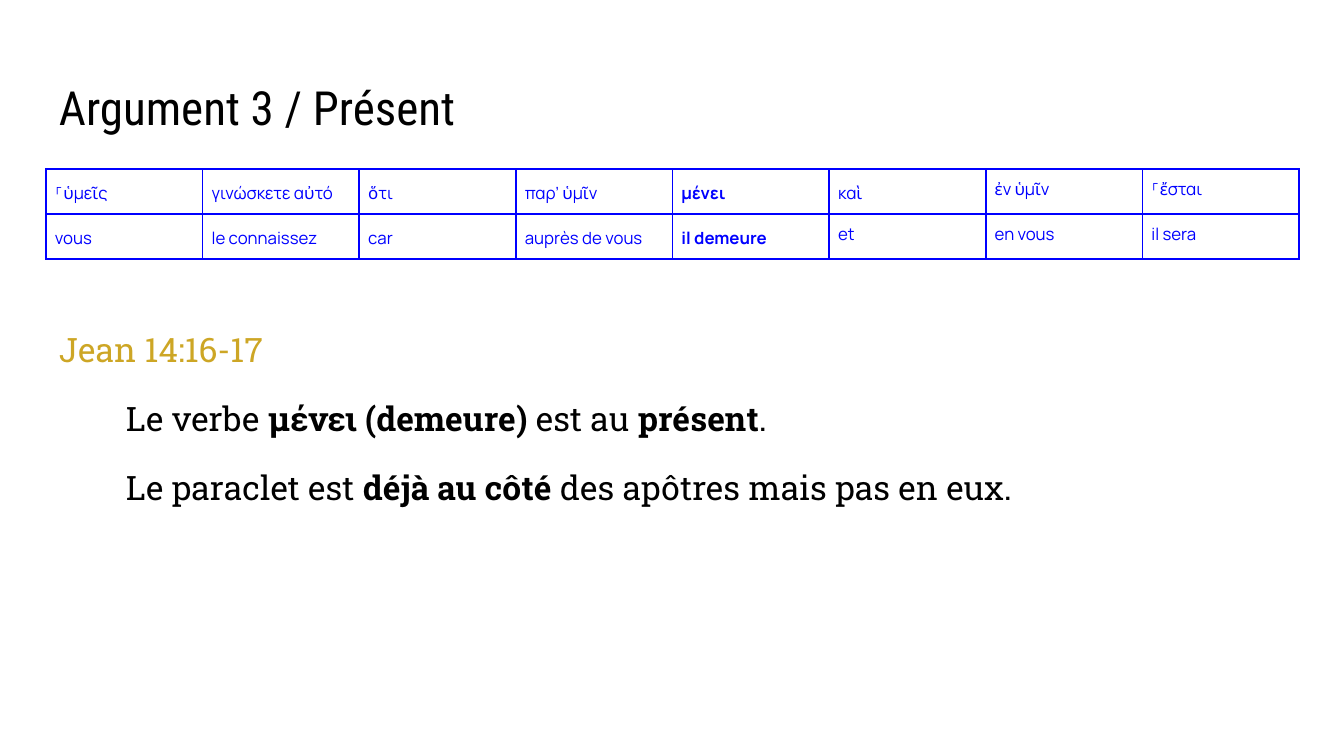
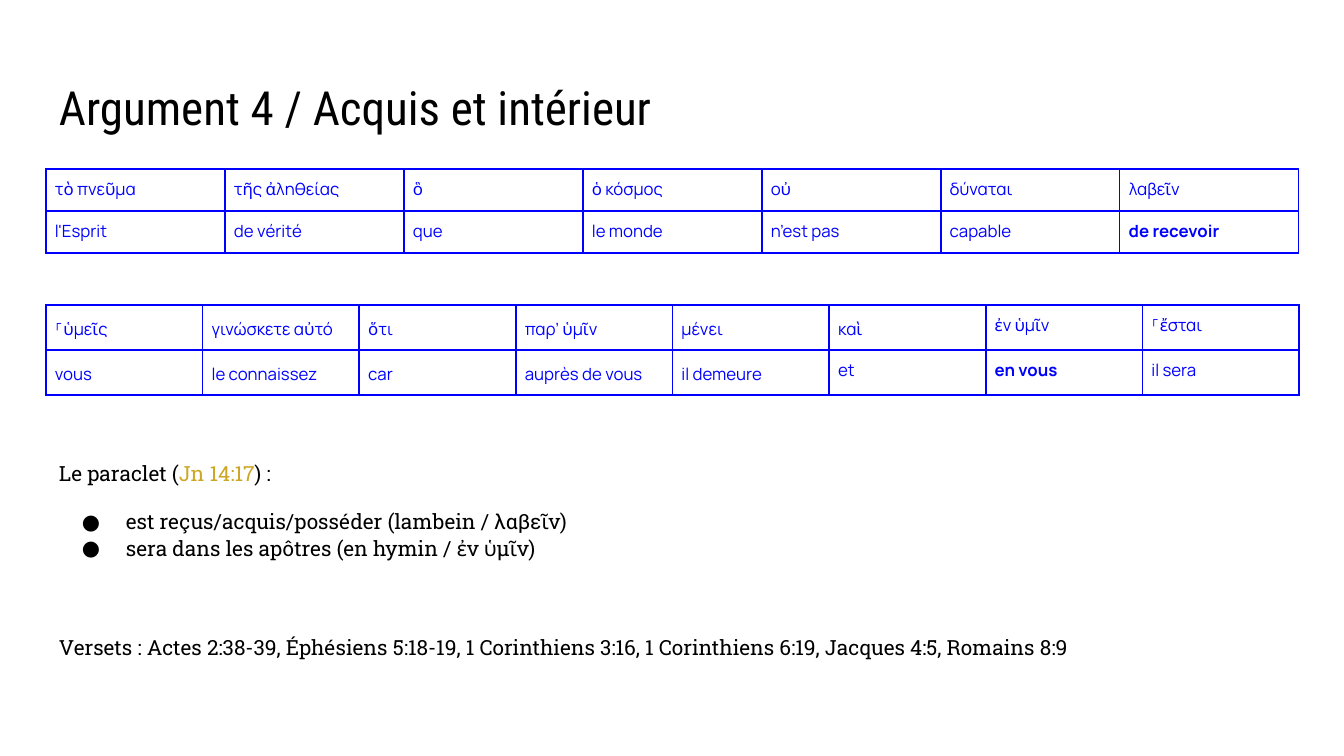
from lxml import etree
from pptx import Presentation
from pptx.dml.color import RGBColor
from pptx.enum.text import MSO_ANCHOR
from pptx.oxml.ns import qn
from pptx.util import Emu, Pt

SCALE = 914400 / 134.4
TOP = MSO_ANCHOR.TOP
COLORS = {"paper": "FFFFFF", "ink": "000000", "gold": "CDA625", "blue": "0000FF"}
TITLE_FONT, BODY_FONT, TABLE_FONT = "Roboto Condensed", "Roboto Slab", "Manrope"
LEFT, WIDTH = 46, 1253
INDENT, HANGING = 67, -44
BOX_INSET, CELL_INSET = 13, 9
LOOSE_ROW, TIGHT_ROW = 45, 42
BORDERS = ("a:lnL", "a:lnR", "a:lnT", "a:lnB")

VERSE = [
    ["⸀ὑμεῖς", "γινώσκετε αὐτό", "ὅτι", "παρ’ ὑμῖν", "μένει", "καὶ", "ἐν ὑμῖν", "⸀ἔσται"],
    ["vous", "le connaissez", "car", "auprès de vous", "il demeure", "et", "en vous", "il sera"],
]
VERSE_LOOSE = (6, 5)
SPIRIT = [
    ["τὸ πνεῦμα", "τῆς ἀληθείας", "ὃ", "ὁ κόσμος", "οὐ", "δύναται", "λαβεῖν"],
    ["l'Esprit", "de vérité", "que", "le monde", "n’est pas", "capable", "de recevoir"],
]


def px(length):
    return Emu(round(length * SCALE))


class SlideWriter:
    def __init__(self):
        self.deck = Presentation()
        self.deck.slide_width = px(1344)
        self.deck.slide_height = px(756)
        self.page = None

    def new_page(self, title):
        self.page = self.deck.slides.add_slide(self.deck.slide_layouts[6])
        fill = self.page.background.fill
        fill.solid()
        fill.fore_color.rgb = RGBColor.from_string(COLORS["paper"])
        frame = self.text_frame(66, 85)
        frame.text = title
        self.format(frame.paragraphs[0].runs[0], TITLE_FONT, 25.2)

    def text_frame(self, top, height):
        box = self.page.shapes.add_textbox(px(LEFT), px(top), px(WIDTH), px(height))
        frame = box.text_frame
        frame.word_wrap = True
        frame.vertical_anchor = TOP
        self.set_margins(frame, BOX_INSET)
        return frame

    def set_margins(self, holder, inset):
        holder.margin_left = holder.margin_right = px(inset)
        holder.margin_top = holder.margin_bottom = px(inset)

    def format(self, span, font, size, color="ink", bold=False):
        span.font.name = font
        span.font.size = Pt(size)
        span.font.bold = bold
        span.font.color.rgb = RGBColor.from_string(COLORS[color])

    def body(self, top, height, size, line_spacing, entries):
        frame = self.text_frame(top, height)
        for number, entry in enumerate(entries):
            para = frame.add_paragraph() if number else frame.paragraphs[0]
            para.line_spacing = line_spacing
            para.space_before = Pt(entry.get("before", 0))
            para.space_after = Pt(entry.get("after", 0))
            self.indent(para, entry.get("indent", 0), entry.get("bullet", False))
            for text, *style in entry["spans"]:
                span = para.add_run()
                span.text = text
                color = "gold" if "gold" in style else "ink"
                self.format(span, BODY_FONT, size, color, "bold" in style)

    def indent(self, para, left, bullet):
        properties = para._p.get_or_add_pPr()
        properties.set("marL", str(px(left)))
        properties.set("indent", str(px(HANGING if bullet else 0)))
        if bullet:
            color = etree.SubElement(properties, qn("a:buClr"))
            etree.SubElement(color, qn("a:srgbClr"), val=COLORS["ink"])
            etree.SubElement(properties, qn("a:buFont"), typeface=BODY_FONT)
            etree.SubElement(properties, qn("a:buChar"), char="●")

    def table(self, top, rows, bold, loose=(0, 0)):
        row_height = LOOSE_ROW if any(loose) else TIGHT_ROW
        count = len(rows[0])
        holder = self.page.shapes.add_table(
            len(rows), count, px(LEFT), px(top), px(WIDTH), px(row_height * len(rows)))
        table = holder.table
        table.first_row = table.horz_banding = False
        for column in table.columns:
            column.width = px(WIDTH / count)
        for row_number, words in enumerate(rows):
            table.rows[row_number].height = px(row_height)
            for column_number, word in enumerate(words):
                cell = table.cell(row_number, column_number)
                is_loose = column_number < loose[row_number]
                self.fill_cell(cell, word, word in bold, is_loose)

    def fill_cell(self, cell, word, bold, loose):
        self.set_margins(cell, CELL_INSET)
        cell.vertical_anchor = TOP
        cell.text_frame.text = word
        para = cell.text_frame.paragraphs[0]
        para.line_spacing = 1.15 if loose else 1.0
        para.space_after = Pt(10)
        self.format(para.runs[0], TABLE_FONT, 9, "blue", bold)
        properties = cell._tc.get_or_add_tcPr()
        for side in BORDERS:
            line = etree.SubElement(properties, qn(side), w=str(Pt(1)))
            fill = etree.SubElement(line, qn("a:solidFill"))
            etree.SubElement(fill, qn("a:srgbClr"), val=COLORS["blue"])
        cell.fill.background()


def present_page(writer):
    writer.new_page("Argument 3 / Présent")
    writer.body(310, 362, 18, 1.15, [
        {"spans": [("Jean 14:16-17", "gold")]},
        {"indent": INDENT, "before": 12, "spans": [
            ("Le verbe ",), ("μένει (demeure)", "bold"), (" est au ",),
            ("présent", "bold"), (".",)]},
        {"indent": INDENT, "before": 12, "after": 12, "spans": [
            ("Le paraclet est ",), ("déjà au côté", "bold"),
            (" des apôtres mais pas en eux.",)]},
    ])
    writer.table(169, VERSE, {"μένει", "il demeure"}, VERSE_LOOSE)


def acquired_page(writer):
    writer.new_page("Argument 4 / Acquis et intérieur")
    writer.body(446, 226, 11.2, 1.05, [
        {"spans": [("Le paraclet (",), ("Jn 14:17", "gold"), (") :",)]},
        {"indent": INDENT, "bullet": True, "before": 12, "spans": [
            ("est reçus/acquis/posséder (lambein / λαβεῖν)",)]},
        {"indent": INDENT, "bullet": True, "spans": [
            ("sera dans les apôtres (en hymin / ἐν ὑμῖν)",)]},
        {"before": 39, "after": 12, "spans": [
            ("Versets : Actes 2:38-39, Éphésiens 5:18-19, 1 Corinthiens 3:16, "
             "1 Corinthiens 6:19, Jacques 4:5, Romains 8:9",)]},
    ])
    writer.table(305, VERSE, {"en vous"}, VERSE_LOOSE)
    writer.table(169, SPIRIT, {"de recevoir"})


def main():
    writer = SlideWriter()
    present_page(writer)
    acquired_page(writer)
    writer.deck.save("out.pptx")


if __name__ == "__main__":
    main()
